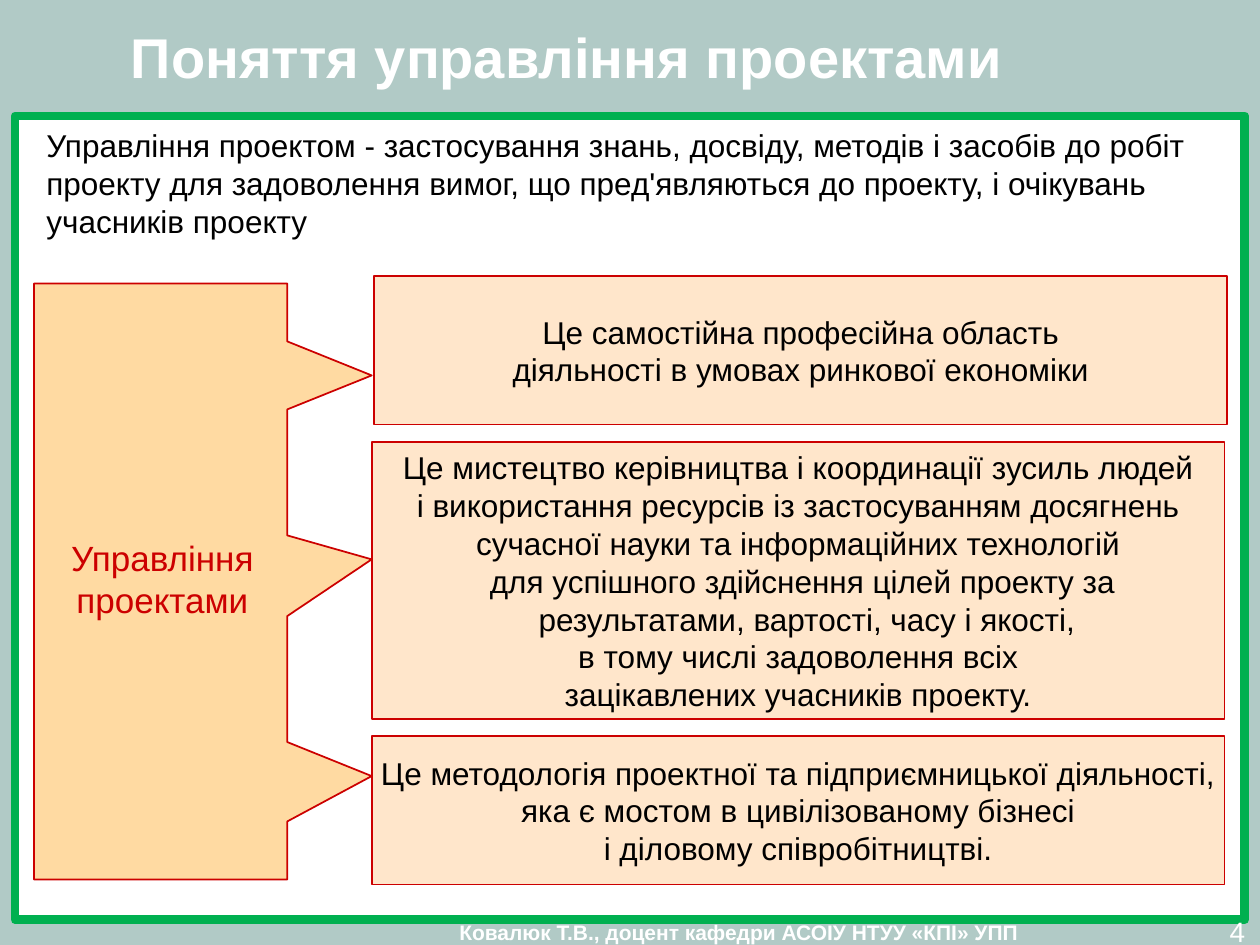
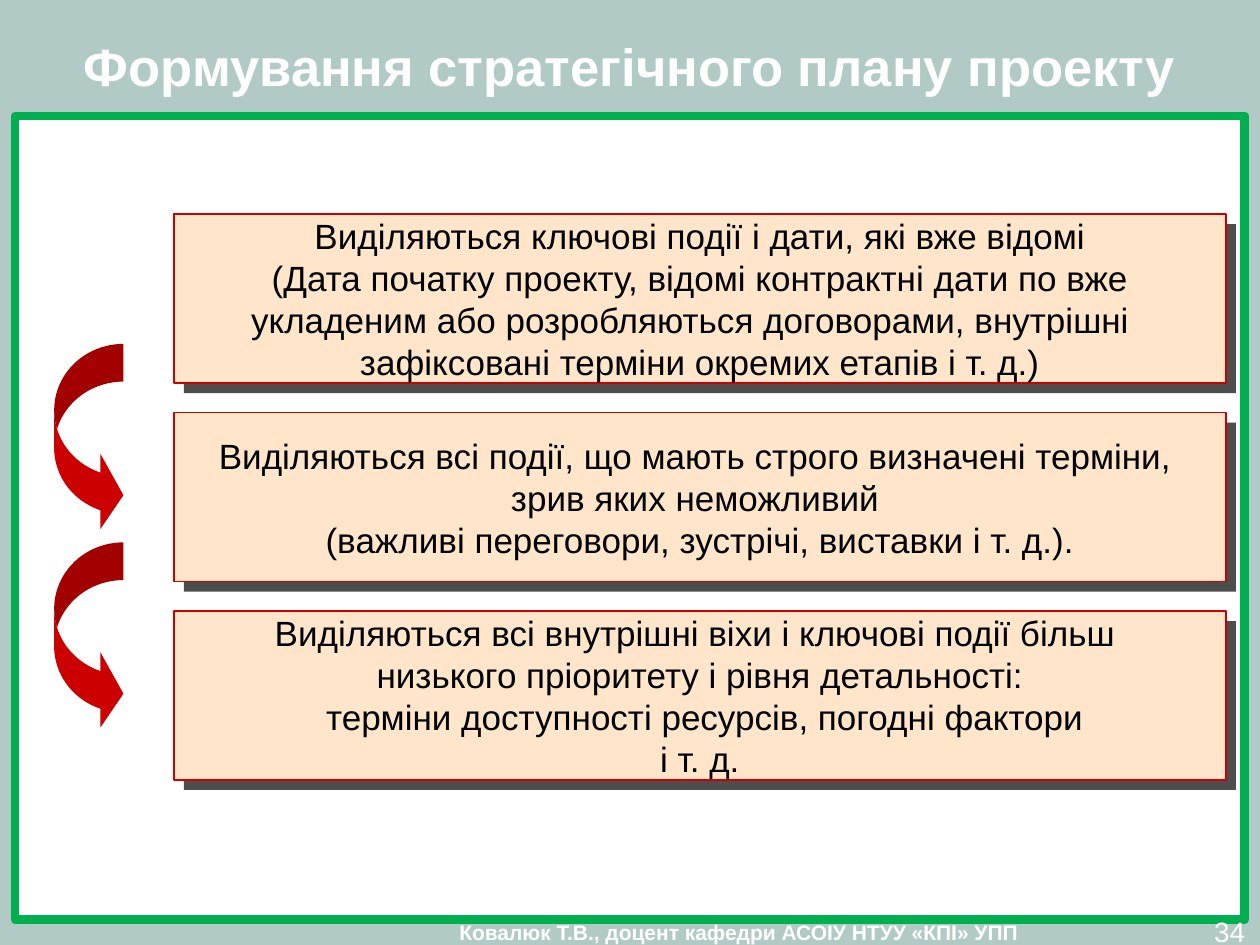
"""Build two slides on project management and strategic planning."""
from dataclasses import dataclass

import pptx
import pptx.dml.color
import pptx.enum.shapes
import pptx.enum.text
import pptx.oxml
import pptx.util

Inches = pptx.util.Inches
SHAPE = pptx.enum.shapes.MSO_SHAPE
ALIGN = pptx.enum.text.PP_ALIGN
ANCHOR = pptx.enum.text.MSO_ANCHOR


@dataclass(frozen=True)
class Theme:
    font: str = "Arial"
    background: str = "B1CAC6"
    white: str = "FFFFFF"
    black: str = "000000"
    green: str = "00B050"
    red: str = "CC0000"
    peach: str = "FFE6CB"
    orange: str = "FFDAA2"
    shade: str = "4D4D4D"
    footer_size: int = 12
    number_size: int = 16
    body_size: int = 18
    step_size: int = 20
    outline: float = 1
    frame_outline: float = 5


THEME = Theme()

FOOTER = "Ковалюк Т.В., доцент кафедри АСОІУ НТУУ «КПІ» УПП"

CONCEPT = {
    "title": "Поняття управління проектами",
    "title_place": (0, 0.14, 9, 0.61),
    "title_size": 32,
    "number": "4",
}
DEFINITION = (
    "Управління проектом - застосування знань, досвіду, методів і засобів до робіт "
    "проекту для задоволення вимог, що пред'являються до проекту, і очікувань "
    "учасників проекту"
)
SUBJECT = "Управління\nпроектами"
MEANINGS = [
    ((2.97, 2.19, 6.77, 1.18), [
        "Це самостійна професійна область",
        "діяльності в умовах ринкової економіки",
    ]),
    ((2.95, 3.51, 6.77, 2.2), [
        "Це мистецтво керівництва і координації зусиль людей",
        "і використання ресурсів із застосуванням досягнень",
        "сучасної науки та інформаційних технологій",
        " для успішного здійснення цілей проекту за",
        "  результатами, вартості, часу і якості,",
        "в тому числі задоволення всіх",
        "зацікавлених учасників проекту.",
    ]),
    ((2.95, 5.84, 6.77, 1.18), [
        "Це методологія проектної та підприємницької діяльності,",
        "яка є мостом в цивілізованому бізнесі",
        "і діловому співробітництві.",
    ]),
]
POINTERS = [(2.71, 2.98, 3.25), (4.25, 4.44, 4.89), (5.89, 6.16, 6.52)]

STRATEGY = {
    "title": "Формування стратегічного плану проекту",
    "title_place": (0, 0.13, 10, 0.78),
    "title_size": 30,
    "number": "34",
}
STEPS = [
    [
        "Виділяються ключові події і дати, які вже відомі",
        " (Дата початку проекту, відомі контрактні дати по вже ",
        "укладеним або розробляються договорами, внутрішні  ",
        "зафіксовані терміни окремих етапів і т. д.)",
    ],
    [
        "Виділяються всі події, що мають строго визначені терміни, ",
        "зрив яких неможливий ",
        "(важливі переговори, зустрічі, виставки і т. д.).",
    ],
    [
        "Виділяються всі внутрішні віхи і ключові події більш ",
        "низького пріоритету і рівня детальності:",
        " терміни доступності ресурсів, погодні фактори",
        "і т. д.",
    ],
]


def rgb(color):
    return pptx.dml.color.RGBColor.from_string(color)


def set_all(target, values):
    for name, value in values.items():
        setattr(target, name, value)


def write(part, lines, size, color=THEME.black, align=ALIGN.CENTER, bold=False,
          insets=(0.1, 0.05), anchor=ANCHOR.TOP, wrap=True):
    frame = part.text_frame
    across, down = map(Inches, insets)
    set_all(frame, {
        "margin_left": across, "margin_right": across,
        "margin_top": down, "margin_bottom": down,
        "vertical_anchor": anchor, "word_wrap": wrap,
    })
    for index, line in enumerate(lines):
        paragraph = frame.add_paragraph() if index else frame.paragraphs[0]
        paragraph.text = line
        paragraph.alignment = align
        for run in paragraph.runs:
            set_all(run.font, {"name": THEME.font, "size": pptx.util.Pt(size), "bold": bold})
            run.font.color.rgb = rgb(color)


def add_text(slide, place, lines, size, **style):
    write(slide.shapes.add_textbox(*map(Inches, place)), lines, size, **style)


def paint(part, fill, line=None, width=THEME.outline):
    part.shadow.inherit = False
    part.fill.solid()
    part.fill.fore_color.rgb = rgb(fill)
    if line:
        part.line.color.rgb = rgb(line)
        part.line.width = pptx.util.Pt(width)
    else:
        part.line.fill.background()
    return part


def add_box(slide, place, fill, line=None, width=THEME.outline, kind=SHAPE.RECTANGLE):
    return paint(slide.shapes.add_shape(kind, *map(Inches, place)), fill, line, width)


def start_slide(deck, heading):
    slide = deck.slides.add_slide(deck.slide_layouts[6])
    slide.background.fill.solid()
    slide.background.fill.fore_color.rgb = rgb(THEME.background)
    add_text(slide, (2.56, 7.3, 6.61, 0.2), [FOOTER], THEME.footer_size,
             color=THEME.white, bold=True, insets=(0.1, 0))
    frame = add_box(slide, (0.12, 0.92, 9.76, 6.38), THEME.white, THEME.green,
                    THEME.frame_outline)
    frame.line._get_or_add_ln().append(pptx.oxml.parse_xml(
        '<a:round xmlns:a="http://schemas.openxmlformats.org/drawingml/2006/main"/>'))
    add_text(slide, heading["title_place"], [heading["title"]], heading["title_size"],
             color=THEME.white, bold=True, anchor=ANCHOR.MIDDLE)
    add_text(slide, (9.41, 7.21, 0.57, 0.29), [heading["number"]], THEME.number_size,
             color=THEME.white, align=ALIGN.RIGHT)
    return slide


def build_concept(deck):
    slide = start_slide(deck, CONCEPT)
    add_text(slide, (0.27, 0.95, 9.45, 1.01), [DEFINITION], THEME.body_size, align=ALIGN.LEFT)
    for place, lines in MEANINGS:
        write(add_box(slide, place, THEME.peach, THEME.red), lines, THEME.body_size,
              anchor=ANCHOR.MIDDLE, wrap=False)

    left, side, tip, top, bottom = 0.27, 2.28, 2.95, 2.25, 6.98
    outline = [(side, top)]
    for upper, point, lower in POINTERS:
        outline += [(side, upper), (tip, point), (side, lower)]
    outline += [(side, bottom), (left, bottom)]
    builder = slide.shapes.build_freeform(Inches(left), Inches(top))
    builder.add_line_segments([(Inches(x), Inches(y)) for x, y in outline], close=True)
    paint(builder.convert_to_shape(), THEME.orange, THEME.red)
    add_text(slide, (0.46, 4.21, 1.66, 0.77), [SUBJECT], THEME.step_size,
             color=THEME.red, wrap=False)


def build_strategy(deck):
    slide = start_slide(deck, STRATEGY)
    left, top, width, height, pitch, offset = 1.38, 1.7, 8.35, 1.34, 1.575, 0.08
    for index, lines in enumerate(STEPS):
        y = top + index * pitch
        add_box(slide, (left + offset, y + offset, width, height), THEME.shade)
        step = add_box(slide, (left, y, width, height), THEME.peach, THEME.red)
        write(step, lines, THEME.step_size, insets=(0.04, 0.02),
              anchor=ANCHOR.MIDDLE, wrap=False)
    for index in range(len(STEPS) - 1):
        arrow = add_box(slide, (0.43, 2.73 + index * pitch, 0.55, 1.5), THEME.red,
                        kind=SHAPE.CURVED_RIGHT_ARROW)
        for position, value in enumerate((0.544, 1.088, 0.333)):
            arrow.adjustments[position] = value


def main():
    deck = pptx.Presentation()
    set_all(deck, {"slide_width": Inches(10), "slide_height": Inches(7.5)})
    build_concept(deck)
    build_strategy(deck)
    deck.save("out.pptx")


if __name__ == "__main__":
    main()
